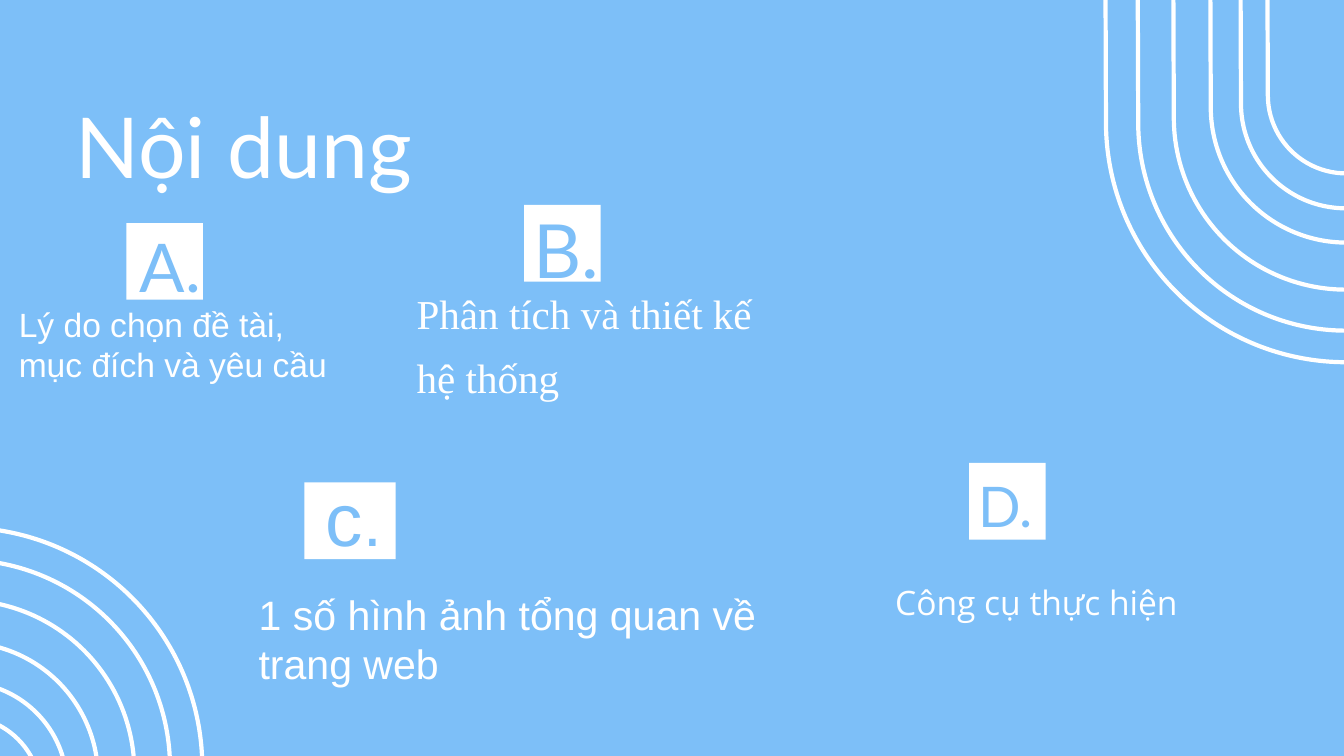
from pptx import Presentation
from pptx.dml.color import RGBColor
from pptx.enum.shapes import MSO_SHAPE as Shape
from pptx.enum.text import MSO_AUTO_SIZE as Fit
from pptx.util import Emu, Pt

PX = 9144
SKY = RGBColor(0x7D, 0xBF, 0xF8)
WHITE = RGBColor(0xFF, 0xFF, 0xFF)

SIZES = [(714, 1161), (618, 1053), (512, 926), (403, 801), (312, 698), (233, 600)]
TOP_GAPS = [0, 47, 108, 178, 229, 281]
LOW_GAPS = [0, 48, 108, 171, 230, 281]

ITEMS = [
    dict(box=(188, 332, 114, 114),
         tag=((20, -32, 205, 158), [("A.", 72)], "Lato", 1.3),
         note=((-160, 120, 477, 121),
               [("Lý do chọn đề tài, mục đích và yêu cầu", 36)], "Arial", None)),
    dict(box=(780, 305, 114, 114),
         tag=((14, -42, 101, 175), [("B.", 80)], "Lato", 1.3),
         note=((-160, 103, 516, 193),
               [("Phân tích và thiết kế hệ thống", 44)], "Times New Roman", 1.3)),
    dict(box=(1442, 689, 114, 114),
         tag=((14, -17, 101, 131), [("D.", 60)], "Lato", 1.3),
         note=((-110, 159, 450, 79), [("Công cụ thực hiện", 36)], "Open Sans", 1.3)),
    dict(box=(453, 718, 136, 114), inset=(10, 5),
         tag=((22, -21, 161, 145), [("c", 80), (".", 72)], "Arial", None),
         note=((-78, 154, 773, 158),
               [("1 số hình ảnh tổng quan về trang web", 44)], "Arial", None)),
]


def px(*nums):
    return [Emu(n * PX) for n in nums]


def add_text(slide, box, runs, font, lead, color, inset=(0, 0)):
    frame = slide.shapes.add_textbox(*px(*box)).text_frame
    frame.word_wrap = True
    frame.auto_size = Fit.SHAPE_TO_FIT_TEXT
    frame.margin_left, frame.margin_top = px(*inset)
    frame.margin_right, frame.margin_bottom = px(*inset)
    para = frame.paragraphs[0]
    if lead:
        para.line_spacing = lead
    for text, size in runs:
        run = para.add_run()
        run.text = text
        run.font.size = Pt(size)
        run.font.name = font
        run.font.color.rgb = color


def add_title(slide, box):
    add_text(slide, box, [("Nội dung", 90)], "Lato", 1.2, WHITE)


def add_item(slide, box, tag, note, inset=(0, 0)):
    left, top = box[:2]
    badge = slide.shapes.add_shape(Shape.RECTANGLE, *px(*box))
    badge.shadow.inherit = False
    badge.fill.solid()
    badge.fill.fore_color.rgb = WHITE
    badge.line.fill.background()
    for (x, y, wide, high), runs, font, lead, color in ((*tag, SKY), (*note, WHITE)):
        add_text(slide, (left + x, top + y, wide, high), runs, font, lead, color, inset)


def add_arches(slide, mid, edge, gaps, turn):
    for (wide, high), gap in zip(SIZES, gaps):
        top = edge - gap - high if turn else edge + gap
        arch = slide.shapes.add_shape(
            Shape.ROUND_2_SAME_RECTANGLE, *px(mid - wide // 2, top, wide, high))
        arch.adjustments[0] = 0.5
        arch.rotation = turn
        arch.shadow.inherit = False
        arch.fill.background()
        arch.line.color.rgb = WHITE
        arch.line.width = Pt(4.5)


def main():
    deck = Presentation()
    deck.slide_width, deck.slide_height = px(2000, 1125)
    slide = deck.slides.add_slide(deck.slide_layouts[6])
    slide.background.fill.solid()
    slide.background.fill.fore_color.rgb = SKY
    add_title(slide, (112, 111, 1035, 182))
    for item in ITEMS[:3]:
        add_item(slide, **item)
    add_arches(slide, 2002, 539, TOP_GAPS, 179.8)
    add_arches(slide, -56, 785, LOW_GAPS, 0)
    add_item(slide, **ITEMS[3])
    deck.save("out.pptx")


if __name__ == "__main__":
    main()
